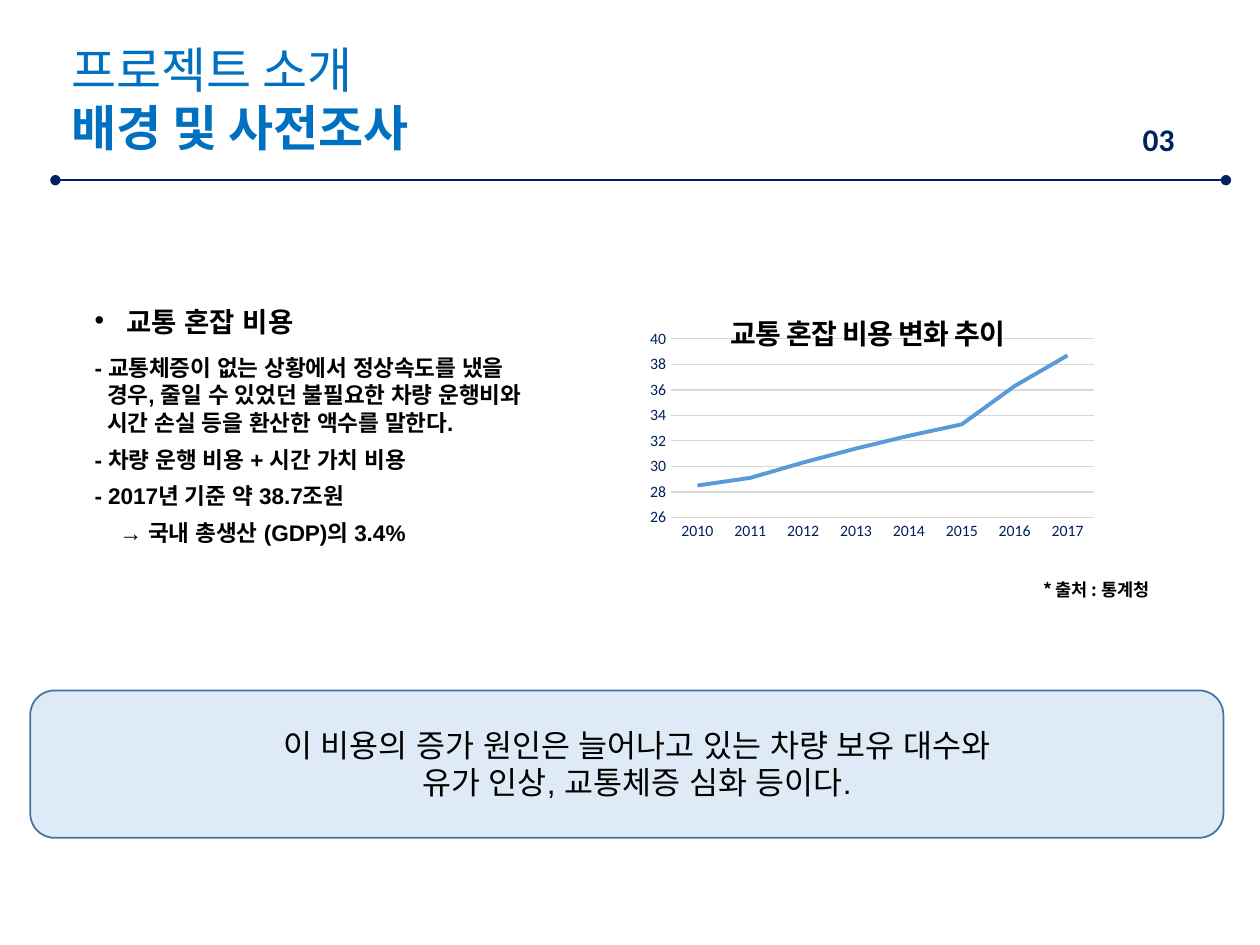
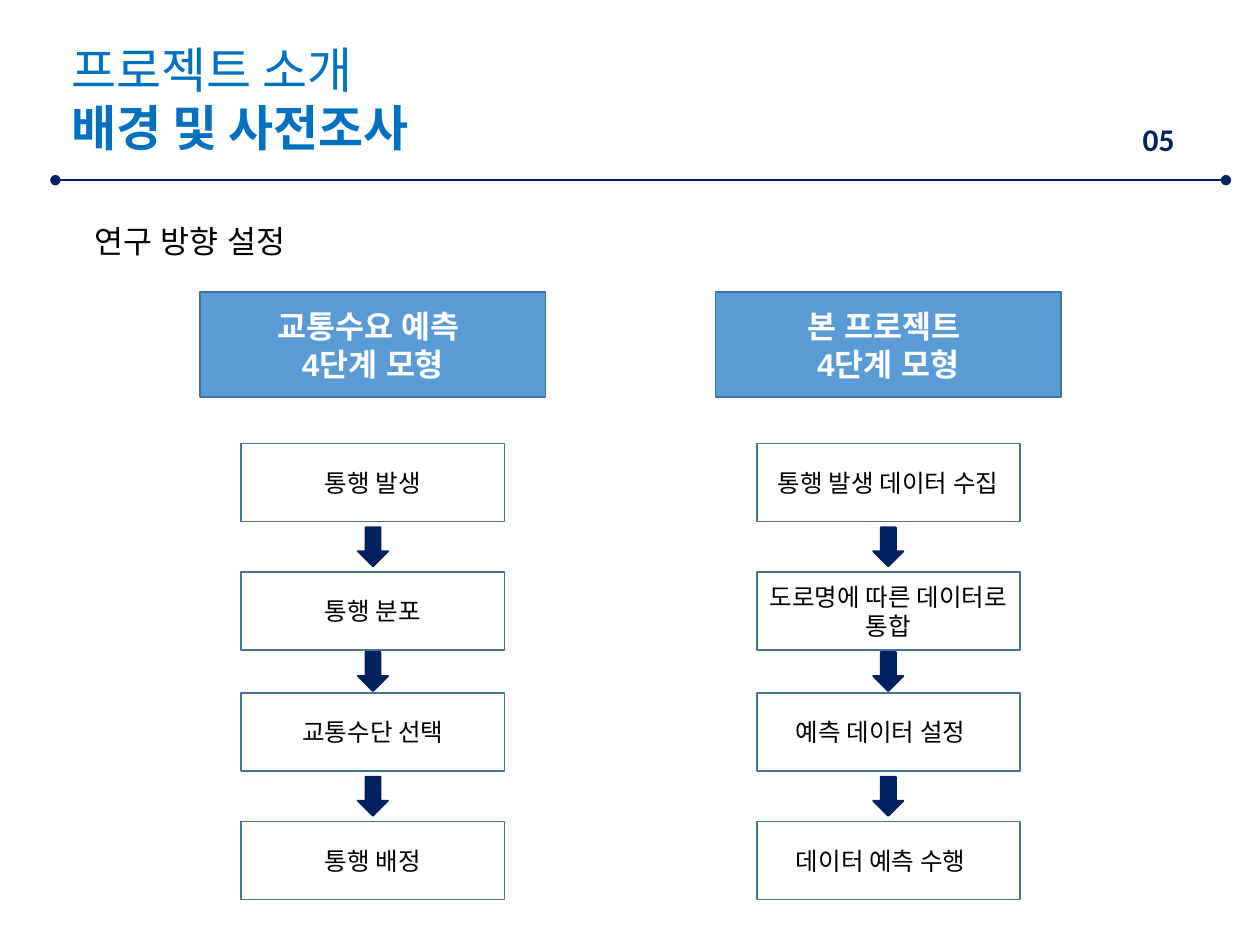
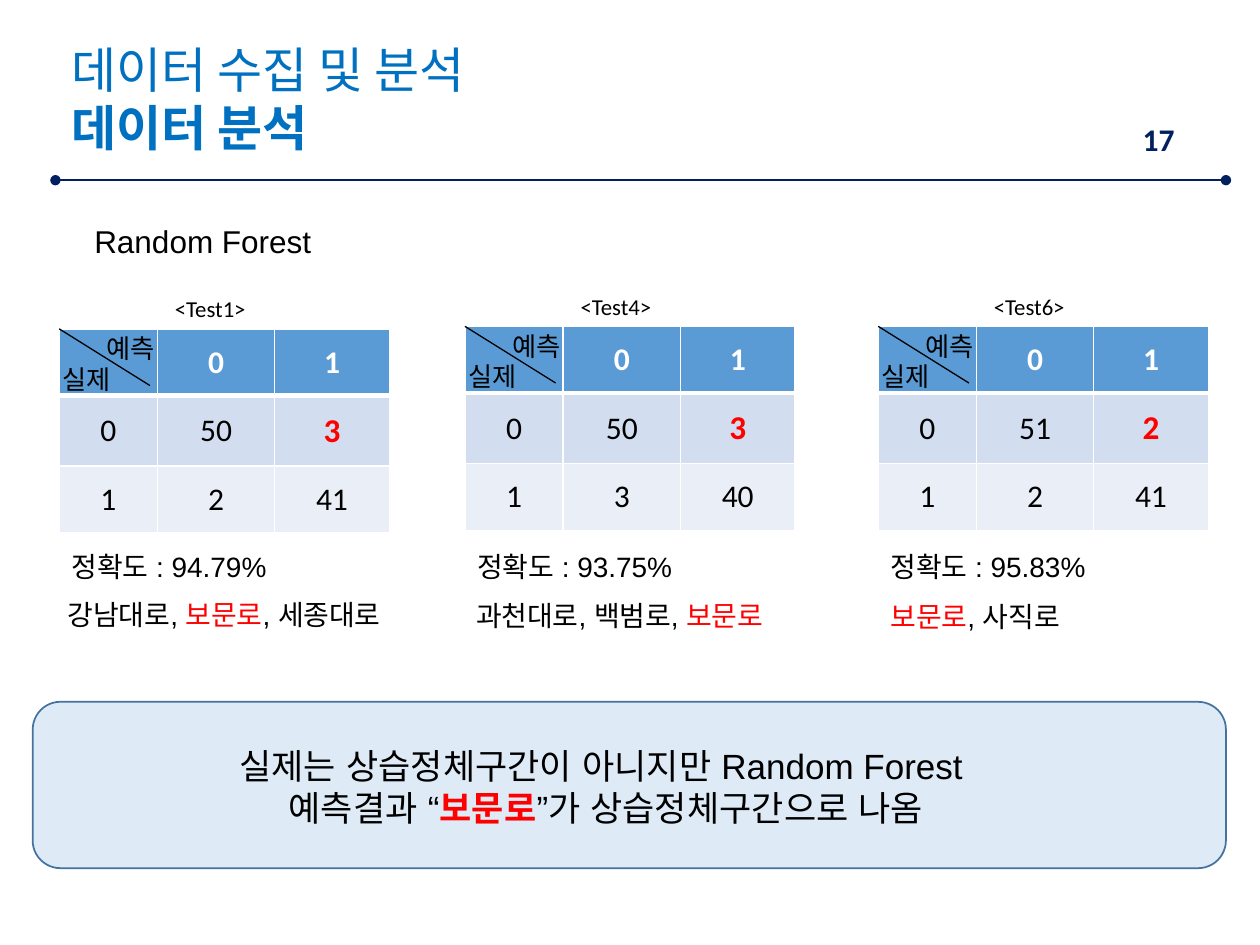
from copy import deepcopy

from lxml import etree
from pptx import Presentation
from pptx import util as u
from pptx.chart.data import CategoryChartData
from pptx.dml.color import RGBColor
from pptx.enum import chart as ch, shapes, text
from pptx.oxml.ns import qn

# Grid: 100 columns by 75 rows of square cells
COLUMNS = 100
SLIDE_W, SLIDE_H = u.Inches(10), u.Inches(7.5)
NAVY, TITLE_BLUE, BLUE, EDGE = "002060", "0070C0", "5B9BD5", "43739E"
PALE, BAND_1, BAND_2, GRID = "DEEBF7", "D2DEEF", "EAEFF7", "D9D9D9"
BLACK, WHITE, RED = "000000", "FFFFFF", "FF0000"
CENTER, LEFT = text.PP_ALIGN.CENTER, text.PP_ALIGN.LEFT
TOP, MIDDLE = text.MSO_ANCHOR.TOP, text.MSO_ANCHOR.MIDDLE


def cells(count):
    return u.Emu(round(count * SLIDE_W / COLUMNS))


def emu(box):
    return [cells(side) for side in box]


def within(box, dx, dy, width, height):
    return box[0] + dx, box[1] + dy, width, height


def rgb(color):
    return RGBColor.from_string(color)


def sub(parent, tag, **attributes):
    return etree.SubElement(parent, qn(tag), attributes)


# Text
def write(paragraph, runs, align=LEFT, spacing=1.0, before=0, **style):
    """Runs are a string, or a list of strings and (string, style) pairs."""
    paragraph.alignment = align
    paragraph.line_spacing = spacing
    paragraph.space_before = u.Pt(before)
    for item in [runs] if isinstance(runs, str) else runs:
        words, extra = (item, {}) if isinstance(item, str) else item
        look = dict(size=18, font="Calibri", color=BLACK, bold=False) | style | extra
        for number, line in enumerate(words.split("\n")):
            if number:
                paragraph.add_line_break()
                paragraph._p[-1].append(deepcopy(run._r.rPr))
            run = paragraph.add_run()
            run.text = line
            run.font.size = u.Pt(look["size"])
            run.font.bold = look["bold"]
            run.font.color.rgb = rgb(look["color"])
            run.font.name = look["font"]
            sub(run._r.rPr, "a:ea", typeface=look["font"])


def fill_frame(frame, paragraphs, anchor=TOP, wrap=True, **style):
    frame.word_wrap = wrap
    frame.auto_size = text.MSO_AUTO_SIZE.NONE
    frame.vertical_anchor = anchor
    for number, runs in enumerate(paragraphs):
        write(frame.add_paragraph() if number else frame.paragraphs[0], runs, **style)


def label(slide, box, *paragraphs, **style):
    fill_frame(slide.shapes.add_textbox(*emu(box)).text_frame, paragraphs, **style)


# Shapes
def solid(parent, kind, box, fill, edge):
    shape = parent.shapes.add_shape(kind, *emu(box))
    shape.shadow.inherit = False
    shape.fill.solid()
    shape.fill.fore_color.rgb = rgb(fill)
    shape.line.color.rgb = rgb(edge)
    shape.line.width = u.Pt(1)
    return shape


def rule(slide, start, end, color, width, ends=None):
    line = slide.shapes.add_connector(shapes.MSO_CONNECTOR.STRAIGHT, *emu(start + end))
    line.line.color.rgb = rgb(color)
    line.line.width = u.Pt(width)
    properties = line._element.spPr
    if ends:
        for tag in ("a:headEnd", "a:tailEnd"):
            sub(properties.find(qn("a:ln")), tag, type=ends)
    sub(properties, "a:effectLst")


# Parts that the slides share
def start_slide(deck, layout, section, topic, page):
    slide = deck.slides.add_slide(deck.slide_layouts[layout])
    title = slide.shapes.title
    title.left, title.top, title.width, title.height = emu((4.7, 2.6, 38.6, 10.4))
    fill_frame(title.text_frame, [section, [(topic, dict(bold=True))]],
               size=28, color=TITLE_BLUE)
    rule(slide, (4.4, 14.3), (97.3, 14.3), NAVY, 1.25, ends="oval")
    label(slide, (89.7, 9, 5.6, 4), page, color=NAVY, bold=True)
    return slide


def subtitle(slide, words):
    label(slide, (6.5, 17.1, 19.4, 4), words, font="Arial", wrap=False)


def callout(slide, box, inset, paragraphs, size):
    solid(slide, shapes.MSO_SHAPE.ROUNDED_RECTANGLE, box, PALE, EDGE)
    label(slide, within(box, *inset), *paragraphs,
          size=size, font="Arial", align=CENTER)


# Background: cost list and trend chart
def cost_list(slide, box):
    body = slide.placeholders[1]
    body.left, body.top, body.width, body.height = emu(box)
    # words, size, line spacing, left margin, first-line indent, bullet
    items = [
        ("교통 혼잡 비용", 15.7, 0.7, 2.5, -2.5, "•"),
        ("- 교통체증이 없는 상황에서 정상속도를 냈을\n"
         "경우, 줄일 수 있었던 불필요한\u00a0차량 운행비와 \n"
         "시간 손실 등을 환산한 액수를 말한다.", 12.9, 1.0, 1, -1, None),
        ("- 차량 운행 비용 + 시간 가치 비용", 12.9, 0.7, 0, 0, None),
        ("- 2017년 기준 약 38.7조원", 12.9, 0.7, 0, 0, None),
        ("→ 국내 총생산 (GDP)의 3.4%", 12.9, 0.7, 2, 0, None),
    ]
    frame = body.text_frame
    frame.auto_size = text.MSO_AUTO_SIZE.NONE
    for number, (words, size, spacing, margin, indent, bullet) in enumerate(items):
        paragraph = frame.add_paragraph() if number else frame.paragraphs[0]
        write(paragraph, words, size=size, spacing=spacing, before=10,
              font="Arial", bold=True)
        properties = paragraph._p.get_or_add_pPr()
        properties.set("marL", str(cells(margin)))
        properties.set("indent", str(cells(indent)))
        if bullet:
            sub(properties, "a:buChar", char=bullet)
        else:
            sub(properties, "a:buNone")


def place_in_chart(parent, position, **shares):
    """Give a chart part a manual layout in shares of the chart."""
    for old in parent.findall(qn("c:layout")):
        parent.remove(old)
    layout = etree.Element(qn("c:layout"))
    manual = sub(layout, "c:manualLayout")
    if "w" in shares:
        sub(manual, "c:layoutTarget", val="inner")
    for side in ("x", "y"):
        sub(manual, f"c:{side}Mode", val="edge")
    for side, share in shares.items():
        sub(manual, f"c:{side}", val=str(share))
    parent.insert(position, layout)


def cost_chart(slide, box):
    data = CategoryChartData()
    data.categories = [str(year) for year in range(2010, 2018)]
    data.add_series("교통 혼잡 비용", (28.5, 29.1, 30.3, 31.4, 32.4, 33.3, 36.3, 38.7))
    chart = slide.shapes.add_chart(ch.XL_CHART_TYPE.LINE, *emu(box), data).chart
    chart.has_legend = False
    chart.font.size, chart.font.name = u.Pt(10), "Calibri"

    chart.has_title = True
    write(chart.chart_title.text_frame.paragraphs[0], "교통 혼잡 비용 변화 추이",
          size=16, bold=True, align=CENTER)
    place_in_chart(chart.chart_title._element, 1, x=0.2, y=0.07)
    place_in_chart(chart._chartSpace.chart.plotArea, 0, x=0.09, y=0.15, w=0.85, h=0.65)

    years, costs = chart.category_axis, chart.value_axis
    for axis in (years, costs):
        axis.major_tick_mark = axis.minor_tick_mark = ch.XL_TICK_MARK.NONE
        axis.tick_labels.font.size = u.Pt(9)
        axis.tick_labels.font.name = "Calibri"
        axis.tick_labels.font.color.rgb = rgb(NAVY)
    costs.minimum_scale, costs.maximum_scale, costs.major_unit = 26, 40.5, 2
    costs.format.line.fill.background()
    for line in (years.format.line, costs.major_gridlines.format.line):
        line.color.rgb = rgb(GRID)
        line.width = u.Pt(0.75)

    plot = chart.plots[0]
    plot.vary_by_categories = False
    trend = plot.series[0]
    trend.smooth = False
    trend.format.line.color.rgb = rgb(BLUE)
    trend.format.line.width = u.Pt(2.25)


def background_slide(deck):
    slide = start_slide(deck, 1, "프로젝트 소개", "배경 및 사전조사", "03")
    cost_list(slide, (6.5, 24.4, 40.5, 20.9))
    cost_chart(slide, (49.7, 23, 39.5, 22.6))
    label(slide, (81.8, 45.2, 15.5, 2.9), "* 출처 : 통계청", size=10,
          font="Noto Sans CJK KR", bold=True, spacing=1.15, anchor=MIDDLE)
    callout(slide, (2.4, 54.8, 94.7, 11.7), (10.3, 2.3, 76.4, 7.1),
            ["이 비용의 증가 원인은 늘어나고 있는 차량 보유 대수와 ",
             "유가 인상, 교통체증 심화 등이다. "], 18)


# Direction: two four-step models
def model_column(slide, box, heading, steps, shifted=()):
    column = slide.shapes.add_group_shape()
    head_box = within(box, 0, 0, box[2], 8.3)
    head = solid(column, shapes.MSO_SHAPE.RECTANGLE, head_box, BLUE, EDGE)
    fill_frame(head.text_frame, heading, font="Arial", color=WHITE, bold=True,
               align=CENTER, anchor=MIDDLE)

    step_w, step_h = 20.9, 6.2
    offsets = (12, 22.2, 31.8, 42)
    for step, dy in zip(steps, offsets):
        step_box = within(box, (box[2] - step_w) / 2, dy, step_w, step_h)
        card = solid(column, shapes.MSO_SHAPE.RECTANGLE, step_box, WHITE, EDGE)
        fill_frame(card.text_frame, [step], size=14, align=CENTER, anchor=MIDDLE)
        if step in shifted:
            card.text_frame.margin_right = cells(2.2)

    # Arrows stand midway between neighbouring steps
    arrow_w, arrow_h = 3.1, 2.4
    for upper, lower in zip(offsets, offsets[1:]):
        middle = (upper + step_h + lower) / 2
        arrow_box = within(box, (box[2] - arrow_w) / 2, middle - arrow_h / 2,
                           arrow_w, arrow_h)
        arrow = solid(column, shapes.MSO_SHAPE.RIGHT_ARROW, arrow_box, NAVY, NAVY)
        arrow.rotation = 90


def direction_slide(deck):
    slide = start_slide(deck, 5, "프로젝트 소개", "배경 및 사전조사", "05")
    subtitle(slide, "연구 방향 설정")
    model_column(slide, (15.9, 23.2, 27.4, 48.2), ["교통수요 예측 ", "4단계 모형"],
                 ["통행 발생", "통행 분포", "교통수단 선택", "통행 배정"])
    project = ["통행 발생 데이터 수집", "도로명에 따른 데이터로 통합",
               "예측 데이터 설정", "데이터 예측 수행"]
    model_column(slide, (56.8, 23.2, 27.4, 48.2), ["본 프로젝트 ", "4단계 모형"],
                 project, shifted=project[2:])


# Analysis: confusion matrices
def paint_cell(cell, fill, bottom):
    properties = cell._tc.get_or_add_tcPr()
    for side, width in zip("LRTB", (1, 1, 1, bottom)):
        border = sub(properties, f"a:ln{side}", w=str(u.Pt(width)))
        sub(sub(border, "a:solidFill"), "a:srgbClr", val=WHITE)
    cell.fill.solid()
    cell.fill.fore_color.rgb = rgb(fill)


def confusion_matrix(slide, box, name, counts):
    table = slide.shapes.add_table(3, 3, *emu(box)).table
    for column, width in zip(table.columns, (7.8, 9.3, 9.1)):
        column.width = cells(width)
    for row, height in zip(table.rows, (5.3, 5.6, 5.3)):
        row.height = cells(height)

    rows = [("", "0", "1"), ("0", *counts[0]), ("1", *counts[1])]
    for r, (values, fill) in enumerate(zip(rows, (BLUE, BAND_1, BAND_2))):
        for c, value in enumerate(values):
            cell = table.cell(r, c)
            paint_cell(cell, fill, bottom=1 if r else 3)
            cell.vertical_anchor = MIDDLE
            look = {} if r else dict(color=WHITE, bold=True)
            if (r, c) == (1, 2):
                look = dict(size=19, color=RED, bold=True)
            if value:
                write(cell.text_frame.paragraphs[0], value, align=CENTER, **look)

    # Split corner cell and table name
    rule(slide, box[:2], (box[0] + 7.2, box[1] + 4.5), BLACK, 0.75)
    label(slide, within(box, -0.7, 2.2, 7.3, 3.5), "실제", size=15)
    label(slide, within(box, 2.8, -0.2, 7.3, 3.5), "예측", size=15)
    label(slide, within(box, 8.2, -3.2, 10, 3.2), name, size=13)


def analysis_slide(deck):
    slide = start_slide(deck, 5, "데이터 수집 및 분석", "데이터 분석", "17")
    subtitle(slide, "Random Forest")
    callout(slide, (2.6, 55.7, 94.7, 13.2), (7.1, 2.9, 76.8, 7.7),
            ["실제는 상습정체구간이 아니지만 Random Forest ",
             ["예측결과 “", ("보문로", dict(color=RED, bold=True)),
              "”가 상습정체구간으로 나옴"]], 20)

    road = ("보문로", dict(color=RED))
    # left, top, name, counts, accuracy, roads, left and top of roads
    tests = [
        (4.7, 26.1, "<Test1>", (("50", "3"), ("2", "41")), "94.79%",
         ["강남대로, ", road, ", 세종대로"], 4.4, 46.9),
        (36.9, 25.9, "<Test4>", (("50", "3"), ("3", "40")), "93.75%",
         ["과천대로, 백범로, ", road], 36.8, 47),
        (69.7, 25.9, "<Test6>", (("51", "2"), ("2", "41")), "95.83%",
         [road, ", 사직로"], 69.7, 47.1),
    ]
    for left, top, name, counts, accuracy, roads, roads_left, roads_top in tests:
        confusion_matrix(slide, (left, top, 26.2, 16.3), name, counts)
        label(slide, (left, 43.1, 20.7, 3.7), f"정확도 : {accuracy}",
              size=16, font="Arial")
        label(slide, (roads_left, roads_top, 30, 3.7), roads, size=16, font="Arial")


def main():
    deck = Presentation()
    deck.slide_width, deck.slide_height = SLIDE_W, SLIDE_H
    background_slide(deck)
    direction_slide(deck)
    analysis_slide(deck)
    deck.save("out.pptx")


if __name__ == "__main__":
    main()
